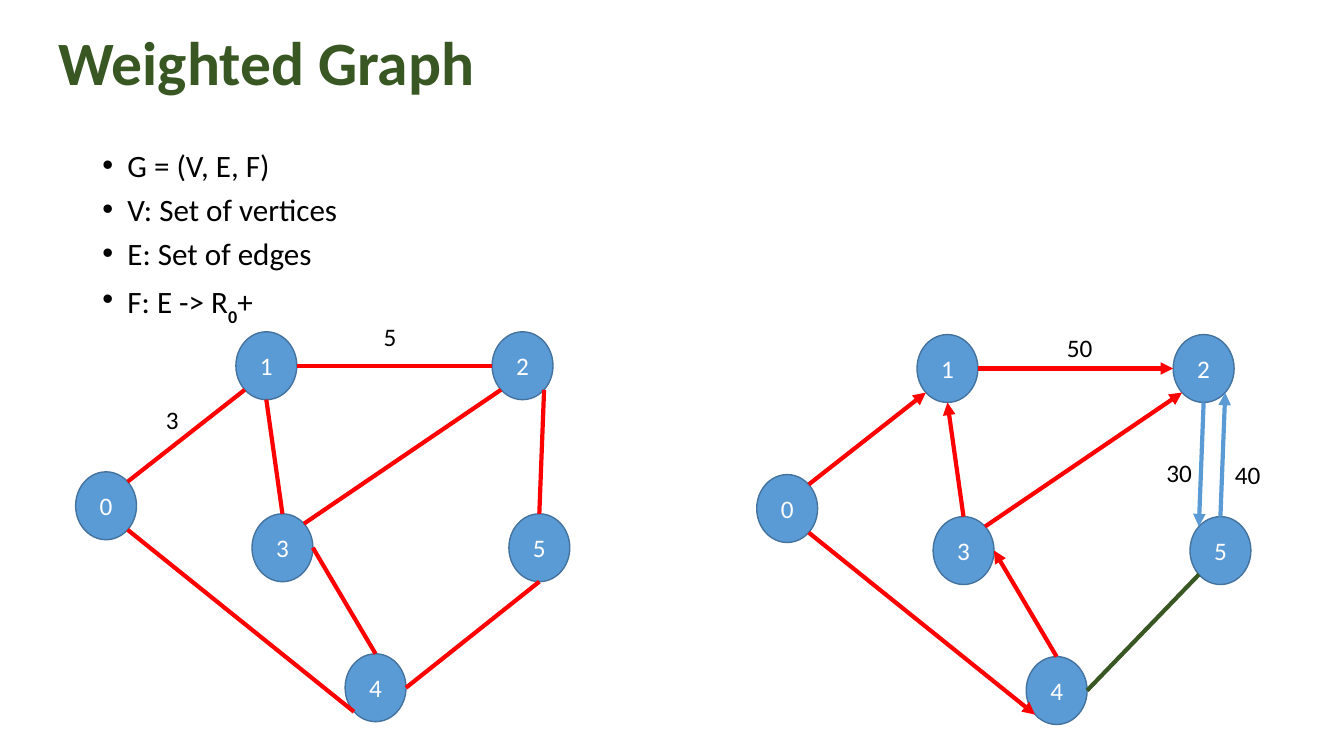
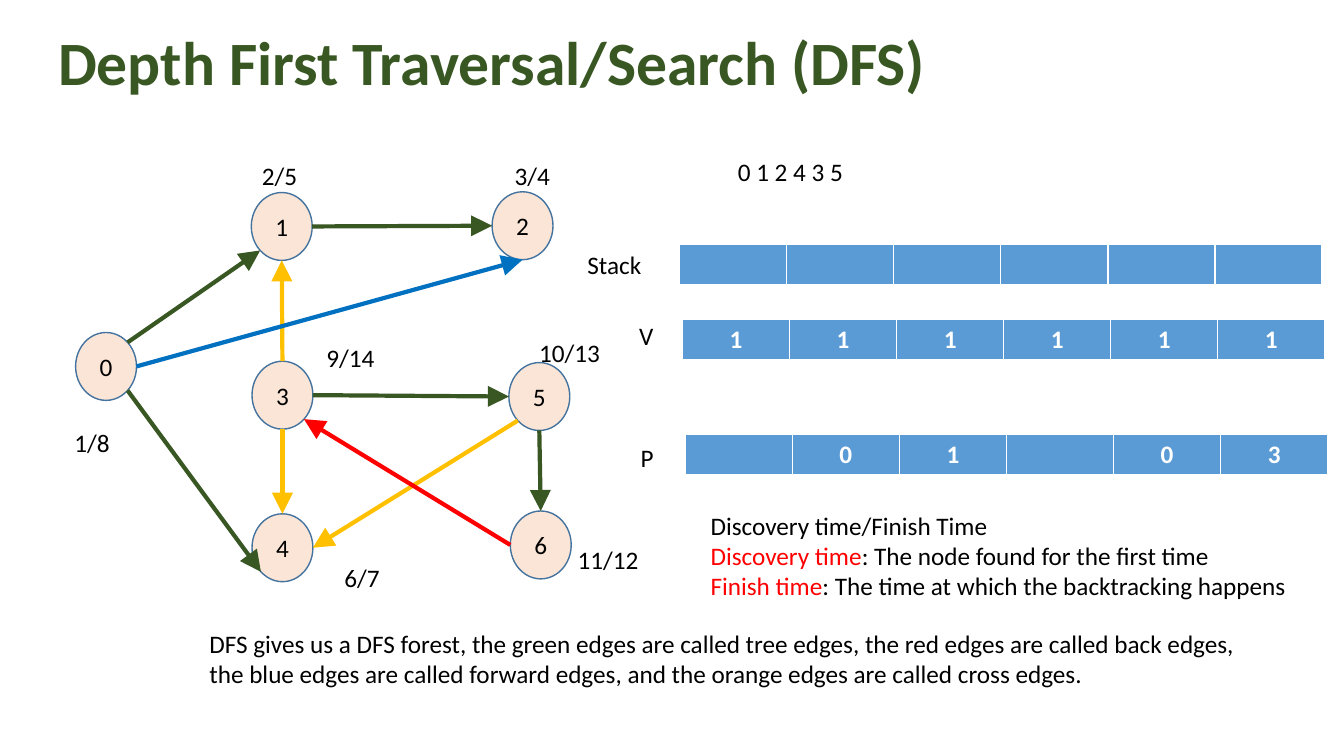
from dataclasses import dataclass

from lxml import etree
from pptx import Presentation
from pptx.dml.color import RGBColor
from pptx.enum.shapes import MSO_CONNECTOR, MSO_SHAPE
from pptx.enum.text import MSO_ANCHOR, PP_ALIGN
from pptx.oxml.ns import qn
from pptx.util import Pt

OVAL = MSO_SHAPE.OVAL
STRAIGHT = MSO_CONNECTOR.STRAIGHT
MIDDLE = MSO_ANCHOR.MIDDLE
LEFT = PP_ALIGN.LEFT
CENTER = PP_ALIGN.CENTER
NODE_W, NODE_H = 43.5, 48.5
NEAR, FAR = 0.146, 0.854
SITES = {
    "n": (0.5, 0), "ne": (FAR, NEAR), "e": (1, 0.5), "se": (FAR, FAR),
    "s": (0.5, 1), "sw": (NEAR, FAR), "w": (0, 0.5), "nw": (NEAR, NEAR),
}


@dataclass(frozen=True)
class Theme:
    font: str = "Calibri"
    black: str = "000000"
    white: str = "FFFFFF"
    green: str = "385723"
    red: str = "FF0000"
    blue: str = "5B9BD5"
    navy: str = "43739E"
    azure: str = "0070C0"
    orange: str = "FFC000"
    peach: str = "FBE5D6"
    title: float = 44
    bullet: float = 22.2
    body: float = 18


class Deck:
    def __init__(self, theme):
        self.theme = theme
        self.show = Presentation()
        self.show.slide_width, self.show.slide_height = Pt(960), Pt(540)
        self.slide = None

    def page(self, title):
        self.slide = self.show.slides.add_slide(self.show.slide_layouts[6])
        frame = self.text(34.5, 18.5, 828, 57, title, self.theme.title, self.theme.green, True)
        frame.vertical_anchor = MIDDLE
        frame.paragraphs[0].line_spacing = 0.9

    def style(self, run, size, color, bold=False):
        font = run.font
        font.name, font.size, font.bold = self.theme.font, Pt(size), bold
        font.color.rgb = RGBColor.from_string(color)

    def fill(self, frame, words, size, color, bold=False, align=LEFT):
        frame.text = words
        for para in frame.paragraphs:
            para.alignment = align
            for run in para.runs:
                self.style(run, size, color, bold)

    def text(self, left, top, width, height, words, size=None, color=None, bold=False):
        box = self.slide.shapes.add_textbox(Pt(left), Pt(top), Pt(width), Pt(height))
        frame = box.text_frame
        frame.word_wrap = True
        self.fill(frame, words, size or self.theme.body, color or self.theme.black, bold)
        return frame

    def label(self, left, top, words):
        self.text(left, top, 14.5 + 11 * len(words), 29, words)

    def append(self, para, words, size, bold=False):
        run = para.add_run()
        run.text = words
        self.style(run, size, self.theme.black, bold)
        return run

    def bullets(self, left, top, width, height, words):
        frame = self.text(left, top, width, height, words, self.theme.bullet)
        for para in frame.paragraphs:
            para.line_spacing = 0.8
            para.space_before = Pt(10)
            props = para._p.get_or_add_pPr()
            props.set("marL", str(Pt(18)))
            props.set("indent", str(-Pt(18)))
            font = etree.SubElement(props, qn("a:buFont"))
            font.set("typeface", "Arial")
            etree.SubElement(props, qn("a:buChar")).set("char", "\u2022")
        return frame

    def nodes(self, spots, fill, color):
        for name, (left, top) in spots.items():
            node = self.slide.shapes.add_shape(OVAL, Pt(left), Pt(top), Pt(NODE_W), Pt(NODE_H))
            node.shadow.inherit = False
            node.fill.solid()
            node.fill.fore_color.rgb = RGBColor.from_string(fill)
            node.line.color.rgb = RGBColor.from_string(self.theme.navy)
            node.line.width = Pt(1)
            node.text_frame.vertical_anchor = MIDDLE
            self.fill(node.text_frame, name, self.theme.body, color, align=CENTER)

    def edges(self, spots, color, head, *routes):
        for route in routes:
            start, out, end, into = route.split()
            points = []
            for name, site in ((start, out), (end, into)):
                left, top = spots[name]
                across, down = SITES[site]
                points += [Pt(left + across * NODE_W), Pt(top + down * NODE_H)]
            edge = self.slide.shapes.add_connector(STRAIGHT, *points)
            edge.line.color.rgb = RGBColor.from_string(color)
            edge.line.width = Pt(3)
            props = edge._element.spPr
            if head:
                tail = etree.SubElement(props.find(qn("a:ln")), qn("a:tailEnd"))
                tail.set("type", "triangle")
                tail.set("w", head)
                tail.set("len", head)
            etree.SubElement(props, qn("a:effectLst"))

    def array(self, left, top, values):
        count = len(values)
        frame = self.slide.shapes.add_table(1, count, Pt(left), Pt(top), Pt(76.5 * count), Pt(28.5))
        table = frame.table
        table.horz_banding = False
        for cell, value in zip(table.rows[0].cells, values):
            cell.fill.solid()
            cell.fill.fore_color.rgb = RGBColor.from_string(self.theme.blue)
            self.fill(cell.text_frame, value, self.theme.body, self.theme.white, True, CENTER)


def weighted(deck):
    theme = deck.theme
    deck.page("Weighted Graph")
    rules = ["G = (V, E, F)", "V: Set of vertices", "E: Set of edges", "F: E -> R"]
    last = deck.bullets(66, 106.5, 828, 126, "\n".join(rules)).paragraphs[-1]
    sub = deck.append(last, "0", theme.bullet, True)
    sub._r.get_or_add_rPr().set("baseline", "-30000")
    deck.append(last, "+", theme.bullet)

    plain = {
        "0": (54, 337), "1": (168.5, 237), "2": (351.5, 237),
        "3": (180, 367), "4": (246.5, 467), "5": (363.5, 367),
    }
    arrowed = {name: (left + 486.5, top + 2) for name, (left, top) in plain.items()}
    shared = ["0 ne 1 sw", "1 e 2 w", "3 n 1 s", "0 se 4 sw", "4 n 3 e", "3 ne 2 sw"]
    for spots in (plain, arrowed):
        deck.nodes(spots, theme.blue, theme.white)
    deck.edges(plain, theme.red, None, *shared, "5 s 4 e", "2 se 5 n")
    deck.edges(arrowed, theme.red, "med", *shared)
    deck.edges(arrowed, theme.green, None, "4 e 5 sw")
    deck.edges(arrowed, theme.blue, "med", "2 s 5 nw", "5 n 2 se")
    for left, top, weight in [
        (267, 226, "5"), (111.5, 285, "3"), (755, 233.5, "50"),
        (826, 323, "30"), (875, 324.5, "40"),
    ]:
        deck.label(left, top, weight)


def search(deck):
    theme = deck.theme
    deck.page("Depth First Traversal/Search (DFS)")
    for left, top, values in [
        (485.5, 174.5, [""] * 6),
        (487.5, 228, ["1"] * 6),
        (489.5, 310.5, ["", "0", "1", "", "0", "3"]),
    ]:
        deck.array(left, top, values)

    spots = {
        "0": (54, 237.5), "1": (179.5, 137.5), "2": (351.5, 137), "3": (180, 258),
        "4": (180, 367), "5": (363.5, 259), "6": (364.5, 365),
    }
    deck.nodes(spots, theme.peach, theme.black)
    deck.edges(spots, theme.green, "lg", "0 ne 1 sw", "1 e 2 w", "0 se 4 sw", "3 e 5 w", "5 s 6 n")
    deck.edges(spots, theme.orange, "lg", "3 s 4 n", "5 sw 4 e", "3 n 1 s")
    deck.edges(spots, theme.azure, "lg", "0 e 2 s")
    deck.edges(spots, theme.red, "lg", "6 w 3 se")
    for left, top, words in [
        (412.5, 174.5, "Stack"), (449.5, 225.5, "V"), (450.5, 312.5, "P"),
        (520, 108, "0 1 2 4 3 5"), (46, 301.5, "1/8"), (180, 111, "2/5"),
        (360.5, 111, "3/4"), (239, 398, "6/7"), (378, 237.5, "10/13"),
        (226, 241, "9/14"), (405.5, 385, "11/12"),
    ]:
        deck.label(left, top, words)

    terms = deck.text(500.5, 361, 432, 72.5, "Discovery time/Finish Time\nDiscovery time\nFinish time")
    meanings = [
        ": The node found for the first time",
        ": The time at which the backtracking happens",
    ]
    for para, meaning in zip(terms.paragraphs[1:], meanings):
        deck.style(para.runs[0], theme.body, theme.red)
        deck.append(para, meaning, theme.body)
    deck.text(
        142.5, 445, 749, 51,
        "DFS gives us a DFS forest, the green edges are called tree edges, "
        "the red edges are called back edges, the blue edges are called forward edges, "
        "and the orange edges are called cross edges.",
    )


deck = Deck(Theme())
weighted(deck)
search(deck)
deck.show.save("out.pptx")
